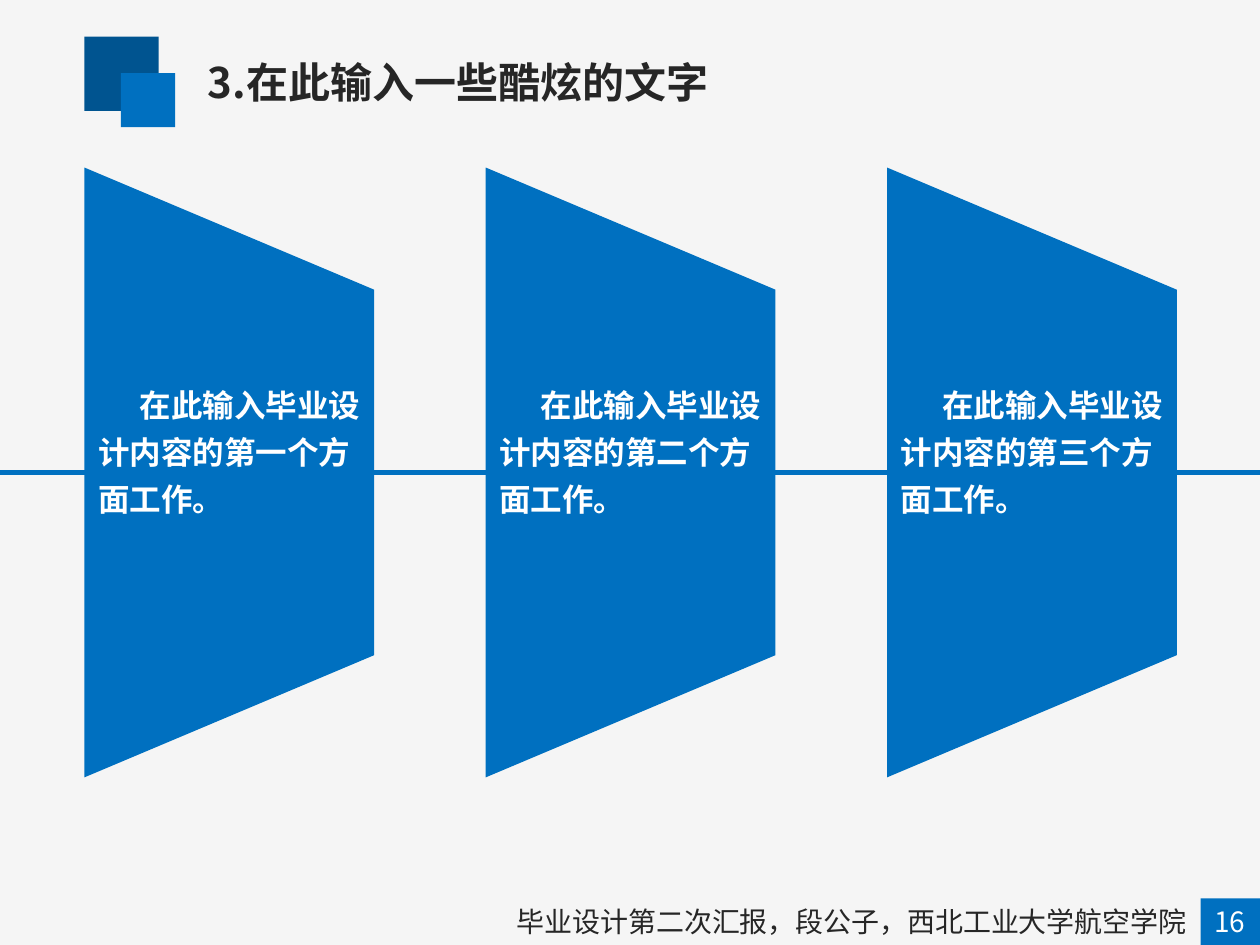
from lxml.etree import SubElement
from pptx import Presentation
from pptx.dml.color import RGBColor
from pptx.enum.shapes import MSO_CONNECTOR, MSO_SHAPE
from pptx.enum.text import PP_ALIGN
from pptx.oxml.ns import qn
from pptx.util import Inches, Pt

FONT = "Noto Sans CJK SC"
BACKGROUND = RGBColor(0xF5, 0xF5, 0xF5)
BLUE = RGBColor(0x00, 0x70, 0xC0)
DARK_BLUE = RGBColor(0x00, 0x54, 0x90)
DARK_GRAY = RGBColor(0x26, 0x26, 0x26)
WHITE = RGBColor(0xFF, 0xFF, 0xFF)

deck = Presentation()
deck.slide_width, deck.slide_height = Inches(10), Inches(7.5)
page = deck.slides.add_slide(deck.slide_layouts[6])
page.background.fill.solid()
page.background.fill.fore_color.rgb = BACKGROUND


def add_text(text, left, top, width, height, size, color, bold=False,
             align=PP_ALIGN.LEFT, first_indent=0, line_spacing=1.0):
    box = page.shapes.add_textbox(
        Inches(left), Inches(top), Inches(width), Inches(height))
    box.text_frame.word_wrap = True
    para = box.text_frame.paragraphs[0]
    para.alignment = align
    para.line_spacing = line_spacing
    if first_indent:
        properties = para._p.get_or_add_pPr()
        properties.set("marL", "0")
        properties.set("indent", str(Inches(first_indent)))
    span = para.add_run()
    span.text = text
    span.font.size = Pt(size)
    span.font.bold = bold
    span.font.color.rgb = color
    span.font.name = FONT
    SubElement(span.font._element, qn("a:ea"), typeface=FONT)


def paint(shape, color):
    shape.shadow.inherit = False
    shape.fill.solid()
    shape.fill.fore_color.rgb = color
    shape.line.fill.background()


# Title squares and page number square
for left, top, width, height, color in (
    (0.67, 0.29, 0.59, 0.59, DARK_BLUE),
    (0.96, 0.58, 0.43, 0.43, BLUE),
    (9.53, 7.13, 0.47, 0.37, BLUE),
):
    square = page.shapes.add_shape(
        MSO_SHAPE.RECTANGLE, Inches(left), Inches(top), Inches(width), Inches(height))
    paint(square, color)

add_text("3.在此输入一些酷炫的文字", 1.55, 0.4, 7.78, 0.5,
         size=24, color=DARK_GRAY, bold=True)
add_text("16", 9.41, 7.13, 0.7, 0.37,
         size=16, color=WHITE, align=PP_ALIGN.CENTER)
add_text("毕业设计第二次汇报，段公子，西北工业大学航空学院", 1.33, 7.13, 8.19, 0.37,
         size=16, color=DARK_GRAY, align=PP_ALIGN.RIGHT)

# Line running behind the panels
axis = page.shapes.add_connector(
    MSO_CONNECTOR.STRAIGHT, Inches(0), Inches(3.75), Inches(10), Inches(3.75))
axis.line.color.rgb = BLUE
axis.line.width = Pt(3)
SubElement(axis._element.spPr, qn("a:effectLst"))

# Three evenly spaced panels
PANEL_LEFT, PANEL_STEP, PANEL_WIDTH = 0.67, 3.185, 2.3
for index, ordinal in enumerate("一二三"):
    left = PANEL_LEFT + index * PANEL_STEP
    right = left + PANEL_WIDTH
    outline = page.shapes.build_freeform(Inches(left), Inches(6.17))
    outline.add_line_segments([
        (Inches(left), Inches(1.33)),
        (Inches(right), Inches(2.3)),
        (Inches(right), Inches(5.2)),
    ], close=True)
    paint(outline.convert_to_shape(), BLUE)
    add_text(f"在此输入毕业设计内容的第{ordinal}个方面工作。", left + 0.01, 2.94, 2.28, 1.24,
             size=18, color=WHITE, bold=True, first_indent=0.33, line_spacing=1.25)

deck.save("out.pptx")
